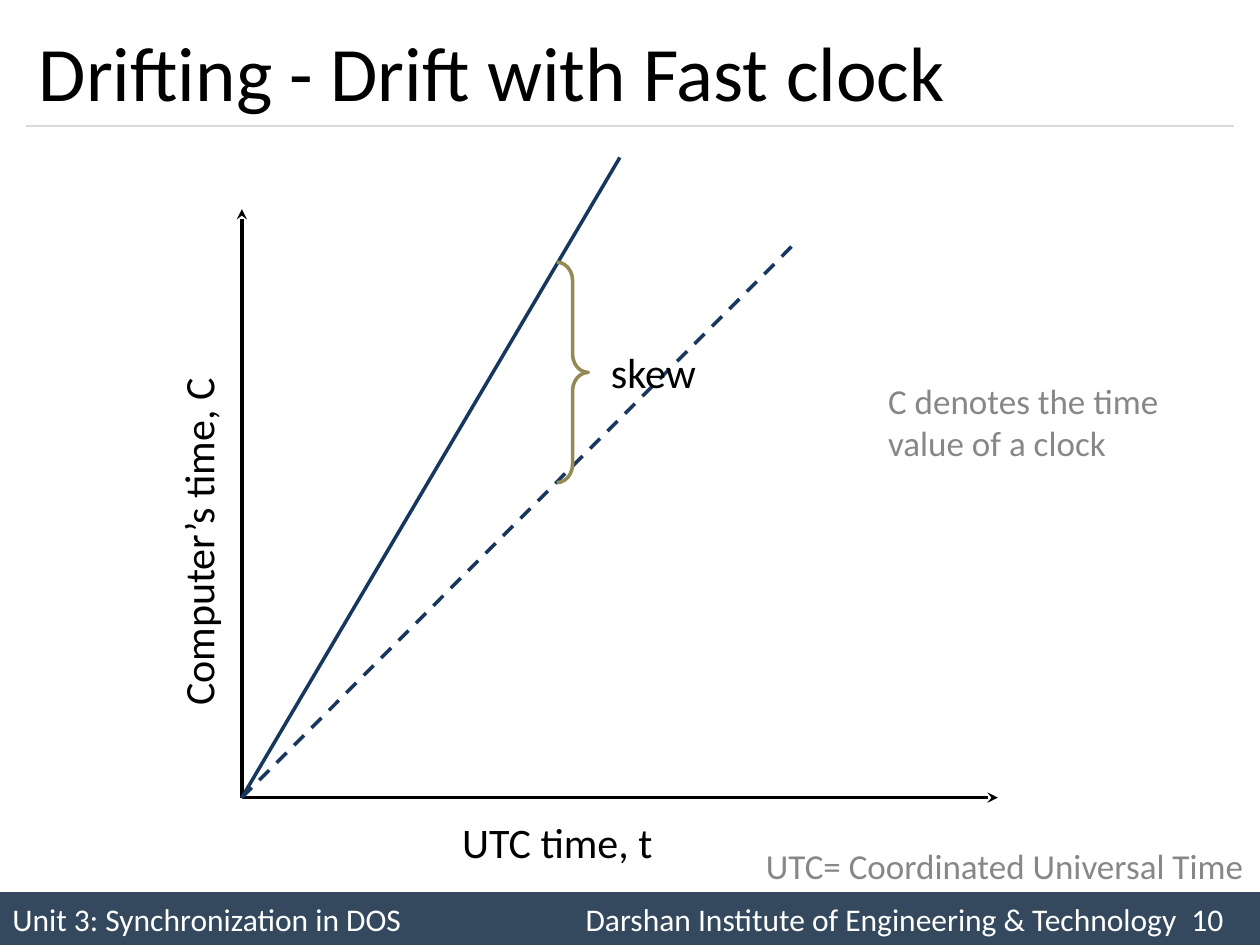
"""Build the slide on clock drift with a fast clock."""
from lxml import etree
from pptx import Presentation
from pptx.dml.color import RGBColor
from pptx.enum.dml import MSO_LINE
from pptx.enum.shapes import MSO_CONNECTOR, MSO_SHAPE
from pptx.enum.text import MSO_ANCHOR, MSO_AUTO_SIZE, PP_ALIGN
from pptx.oxml.ns import qn
from pptx.util import Pt

COLORS = {
    "text": "000000", "note": "878787", "clock": "17375E", "brace": "948A54",
    "footer": "34495E", "footer_text": "FFFFFF", "rule": "D9D9D9",
}
FONT = "Calibri"


def color(name):
    return RGBColor.from_string(COLORS[name])


def style_text(paragraph, size, name):
    paragraph.font.name = FONT
    paragraph.font.size = Pt(size)
    paragraph.font.color.rgb = color(name)


deck = Presentation()
deck.slide_width, deck.slide_height = Pt(720), Pt(540)
page = deck.slides.add_slide(deck.slide_layouts[5])

footer = page.shapes.add_shape(MSO_SHAPE.RECTANGLE, 0, Pt(509.8), Pt(720), Pt(30.2))
footer.shadow.inherit = False
footer.fill.solid()
footer.fill.fore_color.rgb = color("footer")
footer.line.fill.background()
footer.text_frame.vertical_anchor = MSO_ANCHOR.MIDDLE
footer_line = footer.text_frame.paragraphs[0]
footer_line.text = (
    "Unit 3: Synchronization in DOS\tDarshan Institute of Engineering & Technology\t10"
)
footer_line.alignment = PP_ALIGN.LEFT
tabs = etree.SubElement(footer_line._p.get_or_add_pPr(), qn("a:tabLst"))
for stop in (665.5, 692):
    etree.SubElement(tabs, qn("a:tab"), pos=str(Pt(stop)), algn="r")
style_text(footer_line, 18, "footer_text")

title = page.shapes.title
title.left, title.top, title.width, title.height = Pt(15), Pt(8.6), Pt(690), Pt(63.4)
title.text_frame.auto_size = MSO_AUTO_SIZE.NONE
title.text_frame.vertical_anchor = MSO_ANCHOR.MIDDLE
heading = title.text_frame.paragraphs[0]
heading.text = "Drifting - Drift with Fast clock"
heading.alignment = PP_ALIGN.LEFT
style_text(heading, 44, "text")

origin = (138.2, 455.8)
lines = [
    ((15, 72), (705, 72), "rule", 0.75, False, False),
    (origin, (138.2, 119.5), "text", 2, False, True),
    (origin, (570.2, 455.8), "text", 2, False, True),
    (origin, (455.8, 137.5), "clock", 2, True, False),
    (origin, (354.2, 90), "clock", 2, False, False),
]
for start, end, name, width, dashed, arrow in lines:
    line = page.shapes.add_connector(
        MSO_CONNECTOR.STRAIGHT, *(Pt(value) for value in start + end)
    )
    line.line.color.rgb = color(name)
    line.line.width = Pt(width)
    if dashed:
        line.line.dash_style = MSO_LINE.DASH
    if arrow:
        etree.SubElement(line.line._get_or_add_ln(), qn("a:tailEnd"), type="stealth")
    etree.SubElement(line._element.spPr, qn("a:effectLst"))

brace = page.shapes.add_shape(
    MSO_SHAPE.RIGHT_BRACE, Pt(318.2), Pt(149.8), Pt(18), Pt(126)
)
brace.shadow.inherit = False
brace.adjustments[0] = 0.58
brace.fill.background()
brace.line.color.rgb = color("brace")
brace.line.width = Pt(2)

labels = [
    ("UTC time, t", 257, 463, 124.6, 36, 24, "text", 0, False),
    ("Computer’s time, C", 11.5, 290.9, 203, 36, 24, "text", 270, False),
    ("skew", 342, 194.4, 63.4, 36, 24, "text", 0, False),
    ("UTC= Coordinated Universal Time", 430.6, 478.8, 290.2, 31.7, 20, "note", 0, False),
    ("C denotes the time value of a clock", 500.4, 213.1, 185.8, 55.4, 20, "note", 0, True),
]
for text, left, top, width, height, size, name, rotation, wrap in labels:
    box = page.shapes.add_textbox(Pt(left), Pt(top), Pt(width), Pt(height))
    box.rotation = rotation
    box.text_frame.word_wrap = wrap
    box.text_frame.auto_size = MSO_AUTO_SIZE.SHAPE_TO_FIT_TEXT
    label = box.text_frame.paragraphs[0]
    label.text = text
    style_text(label, size, name)

deck.save("out.pptx")
